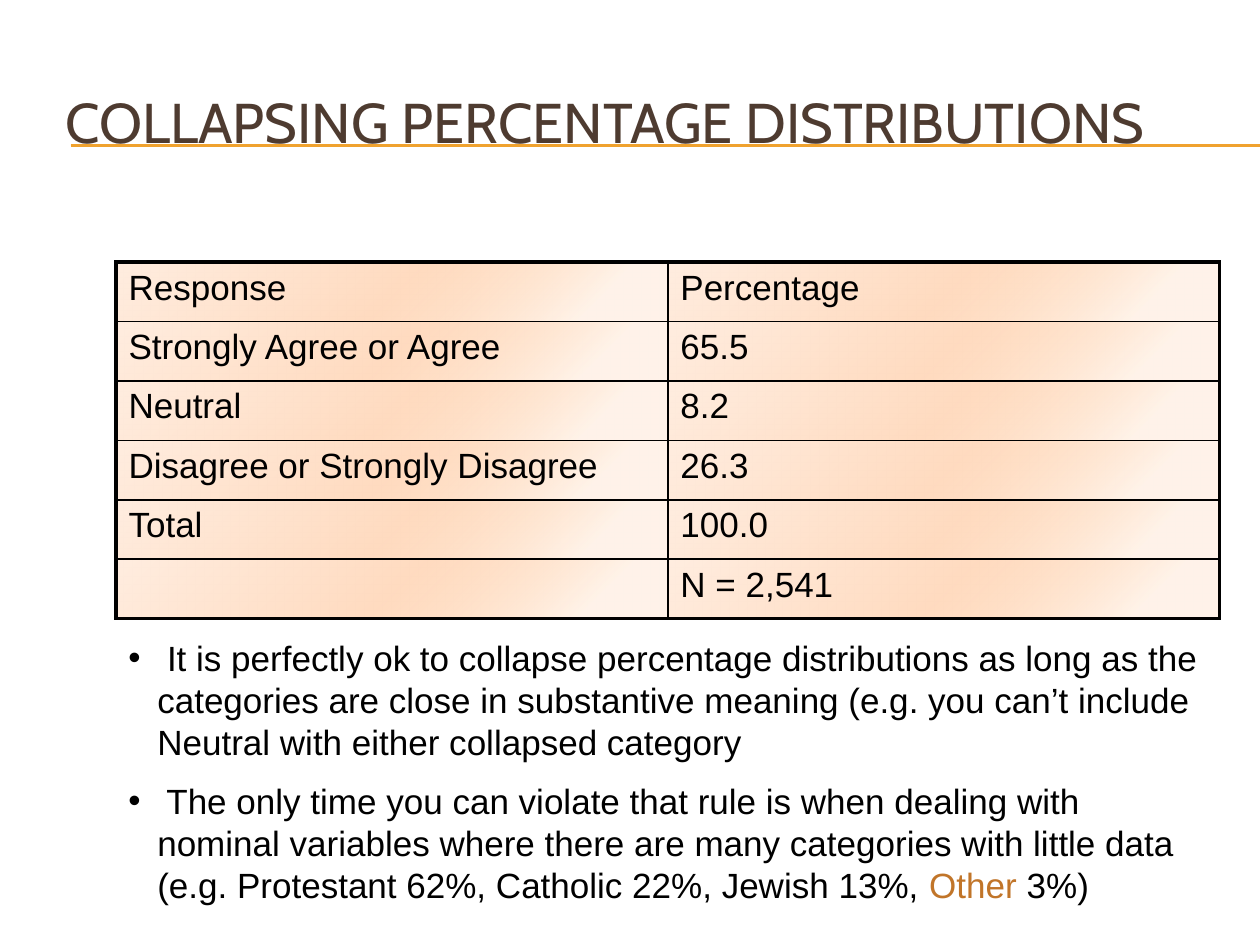
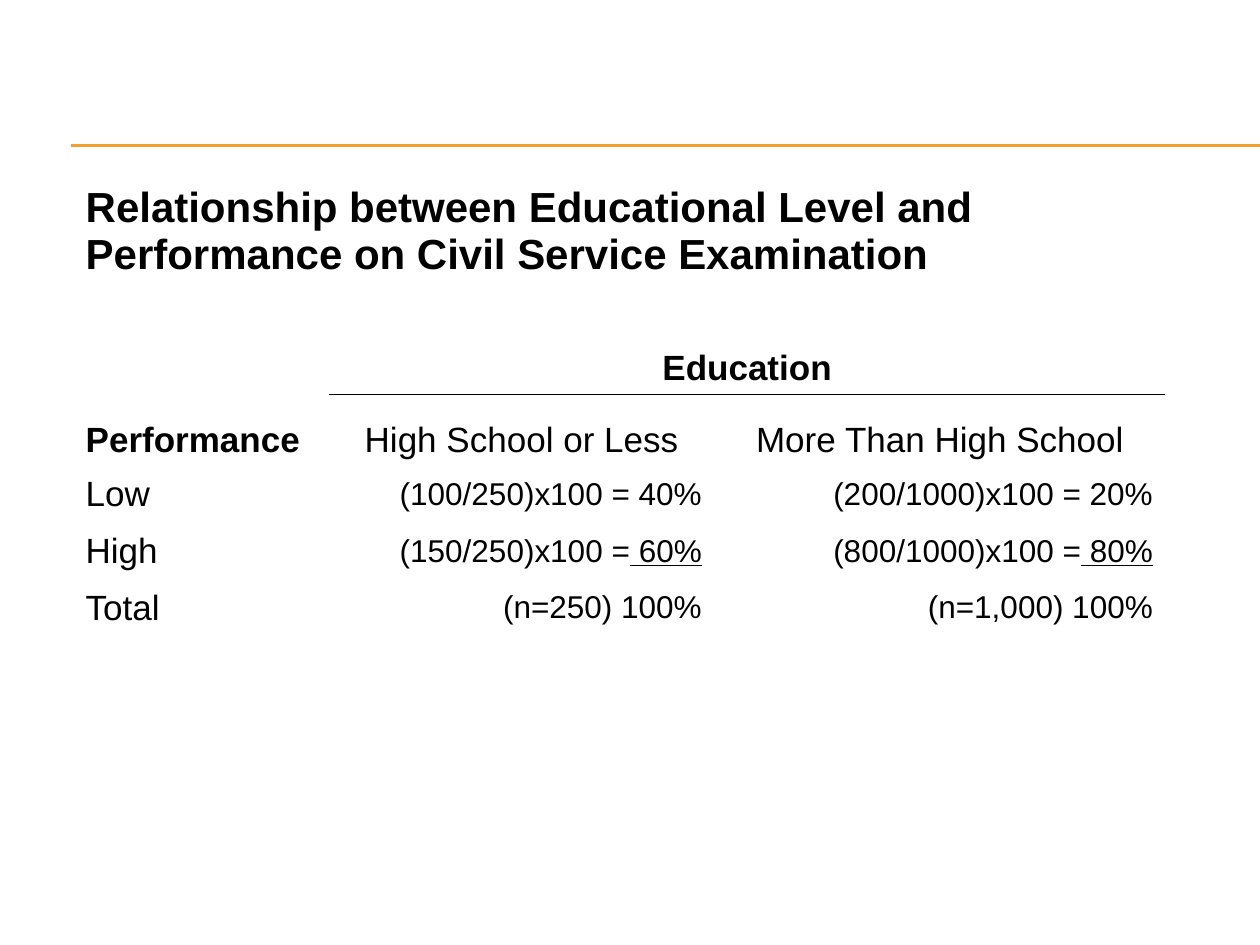
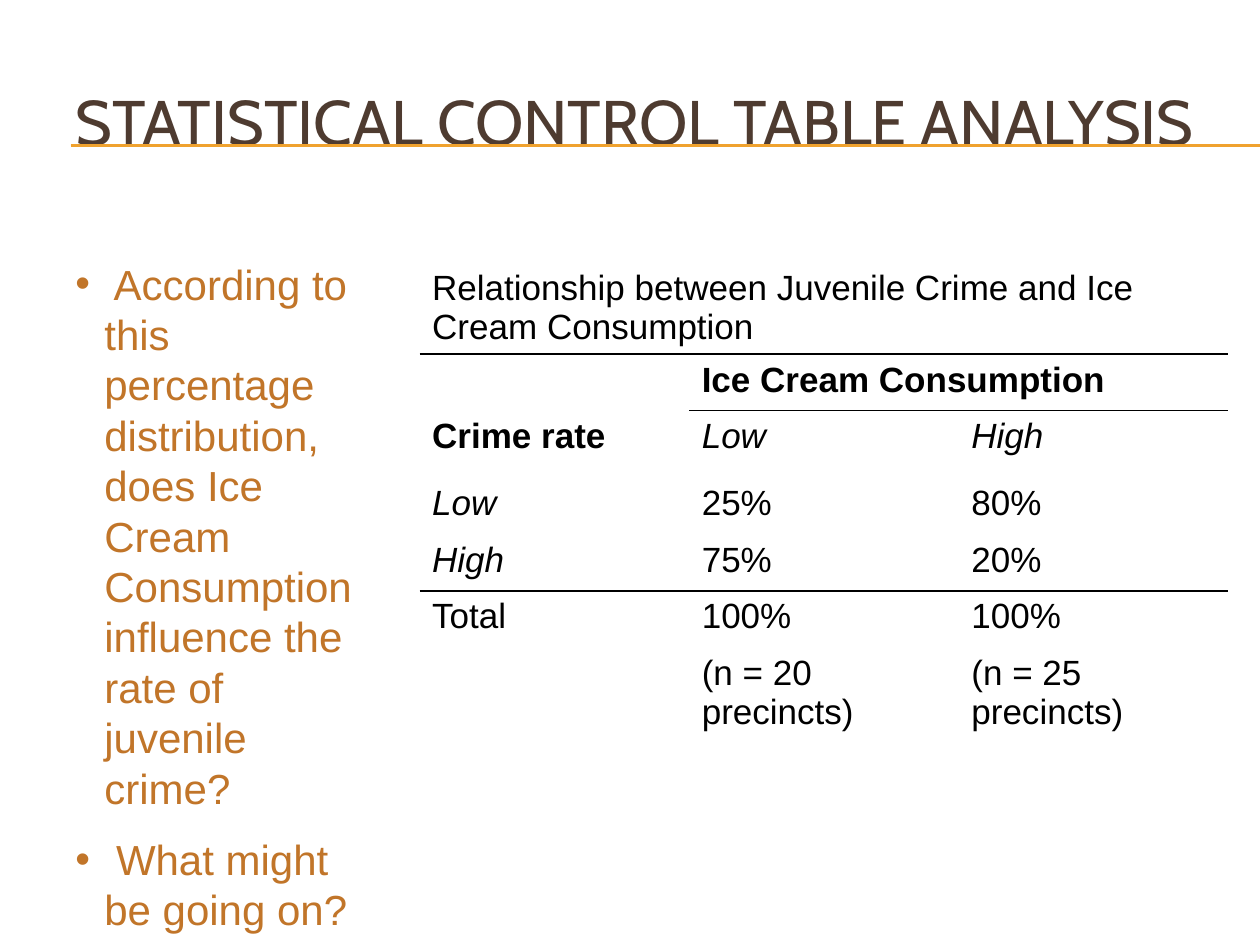
from pptx import Presentation
from pptx.dml.color import RGBColor
from pptx.enum.shapes import MSO_CONNECTOR
from pptx.enum.text import MSO_ANCHOR, MSO_AUTO_SIZE, PP_ALIGN
from pptx.oxml import parse_xml
from pptx.oxml.ns import nsdecls, qn
from pptx.util import Inches, Pt
from lxml.etree import SubElement

BLACK = RGBColor(0x00, 0x00, 0x00)
BROWN = RGBColor(0x4E, 0x3B, 0x30)
GOLD = RGBColor(0xF0, 0xA2, 0x2E)
ORANGE = RGBColor(0xC1, 0x75, 0x29)

BODY_FONT = "Arial"
TITLE_FONT = "Cabin"
TITLE_ONLY, BLANK = 5, 6
NO_STYLE_NO_GRID = "{2D5ABB26-0587-4C30-8999-92F81FD0307C}"
THIN, THICK = 1, 2.25

PEACH_GRADIENT = f"""
<a:gradFill {nsdecls("a")} rotWithShape="1">
  <a:gsLst>
    <a:gs pos="15000"><a:srgbClr val="FFC798"><a:alpha val="21000"/></a:srgbClr></a:gs>
    <a:gs pos="50000"><a:srgbClr val="FFDBC0"/></a:gs>
    <a:gs pos="100000"><a:srgbClr val="FFEDE0"/></a:gs>
  </a:gsLst>
  <a:path path="circle"><a:fillToRect l="100000" t="100000"/></a:path>
</a:gradFill>"""


def format_font(font, size, color=BLACK, name=BODY_FONT):
    font.name = name
    font.size = Pt(size)
    font.color.rgb = color


def add_title_rules(slide):
    """Draw the pair of gold lines that every slide carries."""
    for top in (1.15, 1.16):
        line = slide.shapes.add_connector(
            MSO_CONNECTOR.STRAIGHT, Inches(0.56), Inches(top), Inches(10), Inches(top))
        line.line.color.rgb = GOLD
        line.line.width = Pt(0.75)
        SubElement(line.element.spPr, qn("a:effectLst"))


def add_slide(presentation, layout):
    slide = presentation.slides.add_slide(presentation.slide_layouts[layout])
    add_title_rules(slide)
    return slide


def set_title(slide, text, left, top, size):
    title = slide.shapes.title
    title.left, title.top = Inches(left), Inches(top)
    title.width, title.height = Inches(9.17), Inches(1.57)
    text_frame = title.text_frame
    text_frame.text = text
    text_frame.word_wrap = True
    text_frame.auto_size = MSO_AUTO_SIZE.NONE
    text_frame.vertical_anchor = MSO_ANCHOR.MIDDLE
    paragraph = text_frame.paragraphs[0]
    paragraph.alignment = PP_ALIGN.LEFT
    format_font(paragraph.runs[0].font, size, BROWN, TITLE_FONT)


def add_bullets(slide, bullets, left, top, width, height, size, color):
    """Add a bulleted box; each bullet is a list of (text, color) pieces."""
    box = slide.shapes.add_textbox(Inches(left), Inches(top), Inches(width), Inches(height))
    text_frame = box.text_frame
    text_frame.word_wrap = True
    for index, pieces in enumerate(bullets):
        paragraph = text_frame.add_paragraph() if index else text_frame.paragraphs[0]
        properties = paragraph._p.get_or_add_pPr()
        properties.set("marL", str(Inches(0.23)))
        properties.set("indent", str(Inches(-0.23)))
        SubElement(properties, qn("a:buFont"), typeface=BODY_FONT)
        SubElement(properties, qn("a:buChar"), char="•")
        if index:
            paragraph.space_before = Pt(size / 2)
        format_font(paragraph.font, size, color)
        for text, piece_color in pieces:
            run = paragraph.add_run()
            run.text = text
            format_font(run.font, size, piece_color)


def add_plain_table(slide, left, top, columns, rows):
    """Add a table without fills or borders, from column widths and row heights."""
    frame = slide.shapes.add_table(
        len(rows), len(columns), Inches(left), Inches(top),
        Inches(sum(columns)), Inches(sum(rows)))
    for style in frame.element.iter(qn("a:tableStyleId")):
        style.text = NO_STYLE_NO_GRID
    table = frame.table
    table.first_row = table.horz_banding = False
    for column, width in zip(table.columns, columns):
        column.width = Inches(width)
    for row, height in zip(table.rows, rows):
        row.height = Inches(height)
    for cell in table.iter_cells():
        cell.fill.background()
    return table


def set_borders(cell, left=0, right=0, top=0, bottom=0):
    """Give all four sides a black border of that many points; 0 means none."""
    properties = cell._tc.get_or_add_tcPr()
    for position, (side, width) in enumerate(zip("LRTB", (left, right, top, bottom))):
        fill = (f'<a:solidFill><a:srgbClr val="{BLACK}"/></a:solidFill>'
                if width else "<a:noFill/>")
        properties.insert(position, parse_xml(
            f'<a:ln{side} {nsdecls("a")} w="{Pt(width)}">{fill}</a:ln{side}>'))


def draw_rules(table, ruled_columns):
    """Draw thin lines below rows; ruled_columns maps a row to its ruled columns."""
    for row in range(len(table.rows)):
        for column in range(len(table.columns)):
            set_borders(table.cell(row, column),
                        top=THIN if column in ruled_columns.get(row - 1, ()) else 0,
                        bottom=THIN if column in ruled_columns.get(row, ()) else 0)


def write_cell(cell, text, size=20, bold=False, italic=False, underlined="",
               alignment=PP_ALIGN.LEFT, anchor=MSO_ANCHOR.TOP):
    cell.vertical_anchor = anchor
    paragraph = cell.text_frame.paragraphs[0]
    paragraph.text = text
    paragraph.alignment = alignment
    if underlined:
        paragraph.add_run().text = underlined
        paragraph.runs[-1].font.underline = True
    for run in paragraph.runs:
        format_font(run.font, size)
        run.font.bold = bold
        run.font.italic = italic


def build_collapsing_slide(presentation):
    slide = add_slide(presentation, TITLE_ONLY)
    set_title(slide, "COLLAPSING PERCENTAGE DISTRIBUTIONS", 0.42, 0.18, 32)
    responses = [
        ("Response", "Percentage"),
        ("Strongly Agree or Agree", "65.5"),
        ("Neutral", "8.2"),
        ("Disagree or Strongly Disagree", "26.3"),
        ("Total", "100.0"),
        ("", "N = 2,541"),
    ]
    count = len(responses)
    table = add_plain_table(slide, 0.92, 2.08, [4.38] * 2, [2.83 / count] * count)
    for row, texts in enumerate(responses):
        for column, text in enumerate(texts):
            cell = table.cell(row, column)
            write_cell(cell, text)
            properties = cell._tc.get_or_add_tcPr()
            properties.remove(properties.find(qn("a:noFill")))
            properties.append(parse_xml(PEACH_GRADIENT))
            set_borders(cell,
                        left=THICK if column == 0 else THIN,
                        right=THICK if column == 1 else THIN,
                        top=THICK if row == 0 else THIN,
                        bottom=THICK if row == count - 1 else THIN)
    add_bullets(slide, [
        [(" It is perfectly ok to collapse percentage distributions as long as the "
          "categories are close in substantive meaning (e.g. you can’t include "
          "Neutral with either collapsed category", BLACK)],
        [(" The only time you can violate that rule is when dealing with nominal "
          "variables where there are many categories with little data "
          "(e.g. Protestant 62%, Catholic 22%, Jewish 13%, ", BLACK),
         ("Other", ORANGE), (" 3%)", BLACK)],
    ], 0.92, 5, 8.75, 2.27, 20, BLACK)


def build_education_slide(presentation):
    slide = add_slide(presentation, BLANK)
    table = add_plain_table(slide, 0.58, 1.39, [2.03, 3.06, 3.58, 0.33],
                            [0.87, 0.87, 0.57, 0.45, 0.45, 0.45])
    table.cell(0, 0).merge(table.cell(0, 3))
    table.cell(1, 1).merge(table.cell(1, 2))
    bottom, middle = MSO_ANCHOR.BOTTOM, MSO_ANCHOR.MIDDLE
    write_cell(table.cell(0, 0),
               "Relationship between Educational Level and Performance on "
               "Civil Service Examination", 24, bold=True, anchor=bottom)
    write_cell(table.cell(1, 1), "Education", bold=True,
               alignment=PP_ALIGN.CENTER, anchor=bottom)
    write_cell(table.cell(2, 0), "Performance", bold=True, anchor=bottom)
    for column, text in enumerate(("High School or Less", "More Than High School"), 1):
        write_cell(table.cell(2, column), text, alignment=PP_ALIGN.CENTER, anchor=bottom)
    results = [
        ("Low", ("(100/250)x100 = 40%", ""), ("(200/1000)x100 = 20%", "")),
        ("High", ("(150/250)x100 =", " 60%"), ("(800/1000)x100 =", " 80%")),
        ("Total", ("(n=250) 100%", ""), ("(n=1,000) 100%", "")),
    ]
    for row, (label, *values) in enumerate(results, 3):
        write_cell(table.cell(row, 0), label, anchor=middle)
        for column, (text, underlined) in enumerate(values, 1):
            write_cell(table.cell(row, column), text, 18, underlined=underlined,
                       alignment=PP_ALIGN.RIGHT, anchor=middle)
    draw_rules(table, {1: (1, 2)})


def build_control_slide(presentation):
    slide = add_slide(presentation, TITLE_ONLY)
    set_title(slide, "STATISTICAL CONTROL TABLE ANALYSIS", 0.5, 0.17, 36)
    table = add_plain_table(slide, 3.33, 2.08, [2.14] * 3,
                            [0.73, 0.45, 0.53, 0.45, 0.45, 0.45, 0.73])
    table.cell(0, 0).merge(table.cell(0, 2))
    table.cell(1, 1).merge(table.cell(1, 2))
    write_cell(table.cell(0, 0),
               "Relationship between Juvenile Crime and Ice Cream Consumption")
    write_cell(table.cell(1, 1), "Ice Cream Consumption", bold=True)
    crime_rates = [
        ("Crime rate", "Low", "High"),
        ("Low", "25%", "80%"),
        ("High", "75%", "20%"),
        ("Total", "100%", "100%"),
        ("", "(n = 20 precincts)", "(n = 25 precincts)"),
    ]
    for row, texts in enumerate(crime_rates, 2):
        for column, text in enumerate(texts):
            write_cell(table.cell(row, column), text, bold=text == "Crime rate",
                       italic=text in ("Low", "High"))
    draw_rules(table, {0: (0, 1, 2), 1: (1, 2), 4: (0, 1, 2)})
    add_bullets(slide, [
        [(" According to this percentage distribution, does Ice Cream Consumption "
          "influence the rate of juvenile crime?", ORANGE)],
        [(" What might be going on?", ORANGE)],
    ], 0.5, 2, 2.58, 4.34, 24, ORANGE)


def main():
    presentation = Presentation()
    presentation.slide_width, presentation.slide_height = Inches(10), Inches(7.5)
    build_collapsing_slide(presentation)
    build_education_slide(presentation)
    build_control_slide(presentation)
    presentation.save("out.pptx")


if __name__ == "__main__":
    main()
